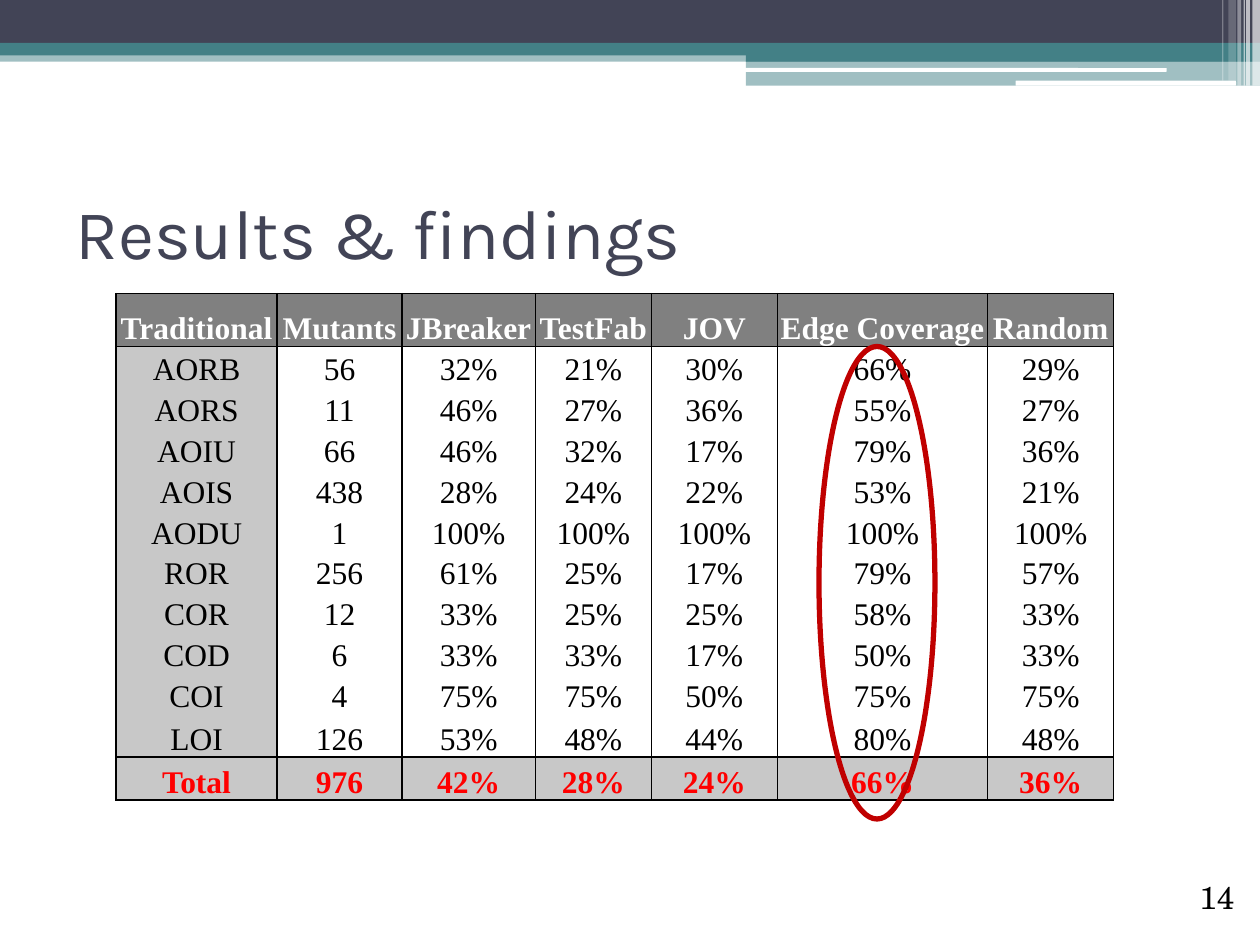
import pptx
import pptx.util
import pptx.dml.color
import pptx.enum.shapes
import pptx.enum.text
import pptx.oxml
from pptx.oxml.ns import qn
from lxml import etree

Inches = pptx.util.Inches
Pt = pptx.util.Pt
RGBColor = pptx.dml.color.RGBColor
MSO_SHAPE = pptx.enum.shapes.MSO_SHAPE
ANCHOR = pptx.enum.text.MSO_ANCHOR
ALIGN = pptx.enum.text.PP_ALIGN

NAVY = RGBColor(0x42, 0x44, 0x56)
TEAL = RGBColor(0x43, 0x80, 0x86)
WHITE = RGBColor(0xFF, 0xFF, 0xFF)
BLACK = RGBColor(0, 0, 0)
HEADER_GREY = RGBColor(0x80, 0x80, 0x80)
LIGHT_GREY = RGBColor(0xC8, 0xC8, 0xC8)
RED = RGBColor(0xFF, 0, 0)
DARK_RED = RGBColor(0xC0, 0, 0)

TITLE = "Results & findings"
PAGE_NUMBER = "14"
RESULTS = [
    ("Traditional", "Mutants", "JBreaker", "TestFab", "JOV", "Edge Coverage", "Random"),
    ("AORB", "56", "32%", "21%", "30%", "66%", "29%"),
    ("AORS", "11", "46%", "27%", "36%", "55%", "27%"),
    ("AOIU", "66", "46%", "32%", "17%", "79%", "36%"),
    ("AOIS", "438", "28%", "24%", "22%", "53%", "21%"),
    ("AODU", "1", "100%", "100%", "100%", "100%", "100%"),
    ("ROR", "256", "61%", "25%", "17%", "79%", "57%"),
    ("COR", "12", "33%", "25%", "25%", "58%", "33%"),
    ("COD", "6", "33%", "33%", "17%", "50%", "33%"),
    ("COI", "4", "75%", "75%", "50%", "75%", "75%"),
    ("LOI", "126", "53%", "48%", "44%", "80%", "48%"),
    ("Total", "976", "42%", "28%", "24%", "66%", "36%"),
]
COLUMN_WIDTHS = [1.28, 0.99, 1.06, 0.92, 1, 1.67, 1]
TABLE_LEFT, TABLE_TOP, TABLE_HEIGHT = 0.92, 2.33, 4.02
HEADER_HEIGHT, FOOT_HEIGHT = 0.42, 0.34
LAST = len(RESULTS) - 1

BANDS = [
    (0, 0.4, 10, 0.09, TEAL, 50),
    (0, 0, 10, 0.34, NAVY, 100),
    (0, 0.34, 10, 0.1, TEAL, 100),
    (5.92, 0.39, 4.08, 0.1, TEAL, 100),
    (5.92, 0.48, 4.08, 0.2, TEAL, 50),
]
WHITE_RULES = [(5.91, 0.54, 3.35, 0.03, WHITE, 100), (8.06, 0.64, 1.75, 0.04, WHITE, 100)]
STRIPES = [
    (9.94, 0, 0.06, 0.68, WHITE, 65),
    (9.89, 0, 0.03, 0.68, WHITE, 65),
    (9.87, 0, 0.01, 0.68, WHITE, 60),
    (9.82, 0, 0.03, 0.68, WHITE, 40),
    (9.75, 0, 0.06, 0.64, WHITE, 20),
    (9.7, 0, 0.01, 0.64, WHITE, 30),
]
HIGHLIGHT = (6.5, 2.75, 0.92, 3.75)

CELL_FORMAT = {
    "vertical_anchor": ANCHOR.BOTTOM,
    "margin_left": Inches(0.02),
    "margin_right": Inches(0.02),
    "margin_top": Inches(0.02),
    "margin_bottom": 0,
}


def apply(target, values):
    for key, value in values.items():
        setattr(target, key, value)


def write(frame, text, font, size, color, bold=False, align=ALIGN.LEFT):
    paragraph = frame.paragraphs[0]
    paragraph.alignment = align
    run = paragraph.add_run()
    run.text = text
    apply(run.font, {"name": font, "size": Pt(size), "bold": bold})
    run.font.color.rgb = color


def add_label(slide, box, text, font, size, color, anchor):
    frame = slide.shapes.add_textbox(*map(Inches, box)).text_frame
    apply(frame, {"word_wrap": True, "vertical_anchor": anchor})
    write(frame, text, font, size, color)


def add_bar(slide, preset, left, top, width, height, color, opacity):
    bar = slide.shapes.add_shape(preset, *map(Inches, (left, top, width, height)))
    bar.shadow.inherit = False
    bar.line.fill.background()
    bar.fill.solid()
    bar.fill.fore_color.rgb = color
    if opacity < 100:
        tint = bar.fill._xPr.find(qn("a:solidFill"))[0]
        etree.SubElement(tint, qn("a:alpha")).set("val", str(opacity * 1000))


def set_borders(cell, ruled_sides):
    properties = cell._tc.get_or_add_tcPr()
    for side in "LRTB":
        line = etree.SubElement(properties, qn("a:ln" + side), w=str(Pt(1)))
        if side in ruled_sides:
            ink = etree.SubElement(line, qn("a:solidFill"))
            etree.SubElement(ink, qn("a:srgbClr"), val=str(BLACK))
        else:
            etree.SubElement(line, qn("a:noFill"))


def row_style(row):
    if row == 0:
        return HEADER_GREY, WHITE, True, "LRTB"
    if row == LAST:
        return LIGHT_GREY, RED, True, "LRTB"
    sides = "LR" + ("T" if row == 1 else "") + ("B" if row == LAST - 1 else "")
    return None, BLACK, False, sides


def add_results(slide):
    table = slide.shapes.add_table(
        len(RESULTS), len(COLUMN_WIDTHS), Inches(TABLE_LEFT), Inches(TABLE_TOP),
        Inches(sum(COLUMN_WIDTHS)), Inches(TABLE_HEIGHT)).table
    apply(table, {"first_row": False, "horz_banding": False})
    body_height = (TABLE_HEIGHT - HEADER_HEIGHT - 2 * FOOT_HEIGHT) / (LAST - 2)
    heights = [HEADER_HEIGHT] + [body_height] * (LAST - 2) + [FOOT_HEIGHT] * 2
    for column, width in zip(table.columns, COLUMN_WIDTHS):
        column.width = Inches(width)
    for r, (values, height) in enumerate(zip(RESULTS, heights)):
        table.rows[r].height = Inches(height)
        row_fill, ink, bold, sides = row_style(r)
        for c, value in enumerate(values):
            cell = table.cell(r, c)
            apply(cell, CELL_FORMAT)
            set_borders(cell, sides)
            fill = row_fill or (LIGHT_GREY if c == 0 else None)
            if fill:
                cell.fill.solid()
                cell.fill.fore_color.rgb = fill
            else:
                cell.fill.background()
            write(cell.text_frame, value, "Times New Roman", 18, ink, bold, ALIGN.CENTER)


def main():
    deck = pptx.Presentation()
    apply(deck, {"slide_width": Inches(10), "slide_height": Inches(7.5)})
    slide = deck.slides.add_slide(deck.slide_layouts[6])
    for preset, bars in ((MSO_SHAPE.RECTANGLE, BANDS),
                         (MSO_SHAPE.ROUNDED_RECTANGLE, WHITE_RULES),
                         (MSO_SHAPE.RECTANGLE, STRIPES)):
        for bar in bars:
            add_bar(slide, preset, *bar)
    add_label(slide, (0.5, 1.25, 9, 1.17), TITLE, "Karla", 40, NAVY, ANCHOR.MIDDLE)
    add_label(slide, (9.42, 6.92, 0.58, 0.4), PAGE_NUMBER, "TeX Gyre Schola", 18, BLACK, ANCHOR.TOP)
    add_results(slide)
    highlight = slide.shapes.add_shape(MSO_SHAPE.OVAL, *map(Inches, HIGHLIGHT))
    highlight.shadow.inherit = False
    highlight.fill.background()
    highlight.line.color.rgb = DARK_RED
    highlight.line.width = Pt(3)
    deck.save("out.pptx")


if __name__ == "__main__":
    main()
